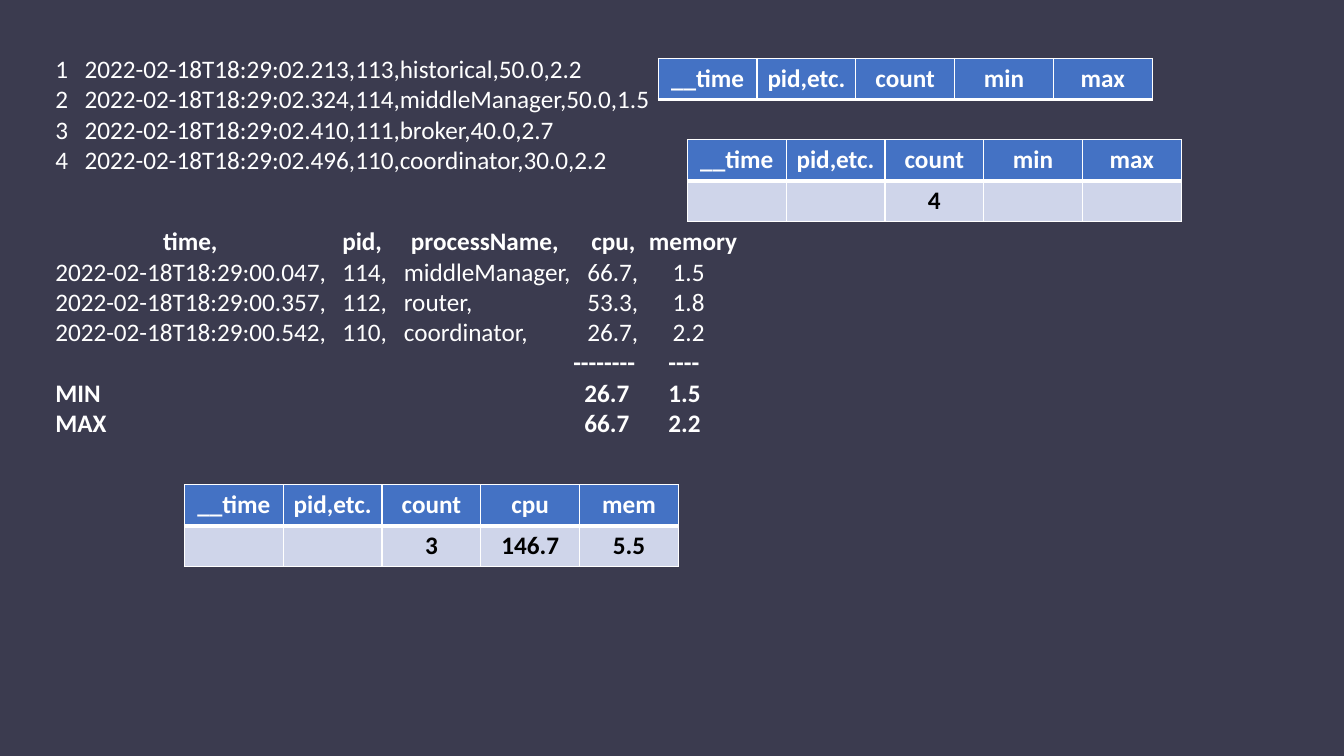
from pptx import Presentation
from pptx.dml.color import RGBColor
from pptx.enum import shapes, text
from pptx.oxml import parse_xml
from pptx.oxml.ns import nsdecls
from pptx.util import Pt

HUES = {"back": "3B3B4F", "head": "4472C4", "body": "CFD5EA",
        "light": "FFFFFF", "dark": "000000"}
COL, ROW = 70.56, 29.2

EVENTS = [
    "1\t2022-02-18T18:29:02.213,113,historical,50.0,2.2",
    "2\t2022-02-18T18:29:02.324,114,middleManager,50.0,1.5",
    "3\t2022-02-18T18:29:02.410,111,broker,40.0,2.7",
    "4\t2022-02-18T18:29:02.496,110,coordinator,30.0,2.2",
]
TITLE, DATA, RULE, TOTAL = (77, 205, 254, 383, 424), (205, 249, 380, 441), (370, 438), (378, 438)
STATS = [
    ("\ttime,\tpid,\tprocessName,\tcpu,\tmemory", TITLE, True),
    ("2022-02-18T18:29:00.047,\t114,\tmiddleManager,\t66.7,\t1.5", DATA, False),
    ("2022-02-18T18:29:00.357,\t112,\trouter,\t53.3,\t1.8", DATA, False),
    ("2022-02-18T18:29:00.542,\t110,\tcoordinator,\t26.7,\t2.2", DATA, False),
    ("\t--------\t----", RULE, True),
    ("MIN\t26.7\t1.5", TOTAL, True),
    ("MAX\t66.7\t2.2", TOTAL, True),
]
RANGE = ["__time", "pid,etc.", "count", "min", "max"]
SUMS = ["__time", "pid,etc.", "count", "cpu", "mem"]


def rgb(name):
    return RGBColor.from_string(HUES[name])


def style(para, hue, bold):
    font = para.font
    font.name, font.size, font.bold = "Calibri", Pt(18), bold
    font.color.rgb = rgb(hue)


def back(slide, width, height):
    rect = slide.shapes.add_shape(shapes.MSO_SHAPE.RECTANGLE, 0, 0, width, height)
    rect.shadow.inherit = False
    rect.fill.solid()
    rect.fill.fore_color.rgb = rgb("back")
    rect.line.fill.background()


def listing(slide, left, top, width, height, lines):
    box = slide.shapes.add_textbox(Pt(left), Pt(top), Pt(width), Pt(height))
    frame = box.text_frame
    frame.word_wrap = True
    for i, (line, stops, bold) in enumerate(lines):
        para = frame.paragraphs[0] if i == 0 else frame.add_paragraph()
        para.text = line
        tabs = "".join(f'<a:tab pos="{Pt(stop)}" algn="l"/>' for stop in stops)
        para._p.get_or_add_pPr().append(
            parse_xml(f'<a:tabLst {nsdecls("a")}>{tabs}</a:tabLst>'))
        style(para, "light", bold)


def edge(cell, sides):
    for side, width in sides.items():
        cell._tc.get_or_add_tcPr().append(parse_xml(
            f'<a:ln{side} {nsdecls("a")} w="{Pt(width)}"><a:solidFill>'
            f'<a:srgbClr val="{HUES["light"]}"/></a:solidFill></a:ln{side}>'))


def grid(slide, left, top, rows):
    count = len(rows[0])
    table = slide.shapes.add_table(len(rows), count, Pt(left), Pt(top),
                                   Pt(COL * count), Pt(ROW * len(rows))).table
    for r, row in enumerate(rows):
        if r == 0:
            fill, ink, sides = "head", "light", {"L": 1, "R": 1, "T": 1, "B": 3}
        else:
            fill, ink, sides = "body", "dark", {"L": 1, "R": 1, "B": 1}
        for c, word in enumerate(row):
            cell = table.cell(r, c)
            edge(cell, sides)
            cell.fill.solid()
            cell.fill.fore_color.rgb = rgb(fill)
            para = cell.text_frame.paragraphs[0]
            para.text = word
            para.alignment = text.PP_ALIGN.CENTER
            style(para, ink, True)


def main():
    deck = Presentation()
    deck.slide_width, deck.slide_height = Pt(960), Pt(540)
    slide = deck.slides.add_slide(deck.slide_layouts[6])
    back(slide, deck.slide_width, deck.slide_height)
    listing(slide, 32.4, 34.6, 480, 94.3, [(line, (21,), False) for line in EVENTS])
    grid(slide, 470.2, 41.8, [RANGE])
    grid(slide, 491, 99.9, [RANGE, ["", "", "4", "", ""]])
    listing(slide, 32.4, 157.7, 552, 159.8, STATS)
    grid(slide, 131.8, 346.3, [SUMS, ["", "", "3", "146.7", "5.5"]])
    deck.save("out.pptx")


if __name__ == "__main__":
    main()
